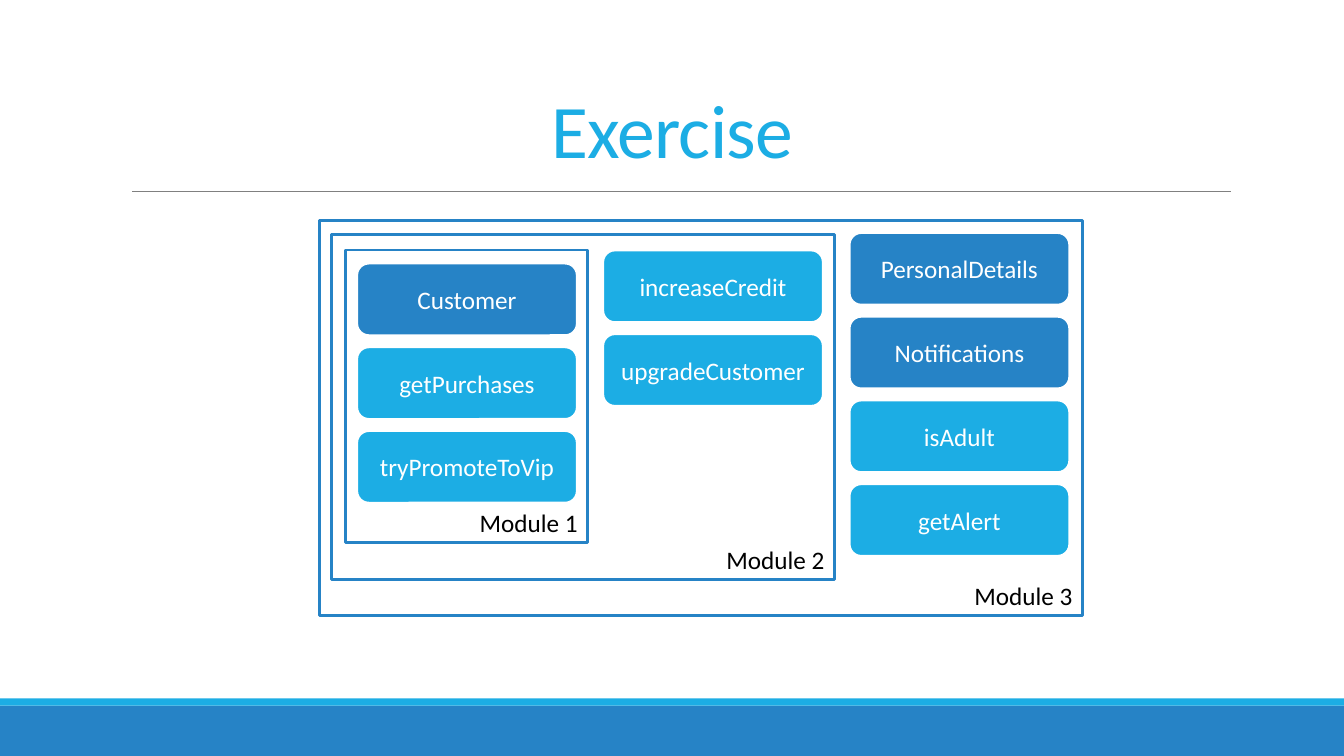
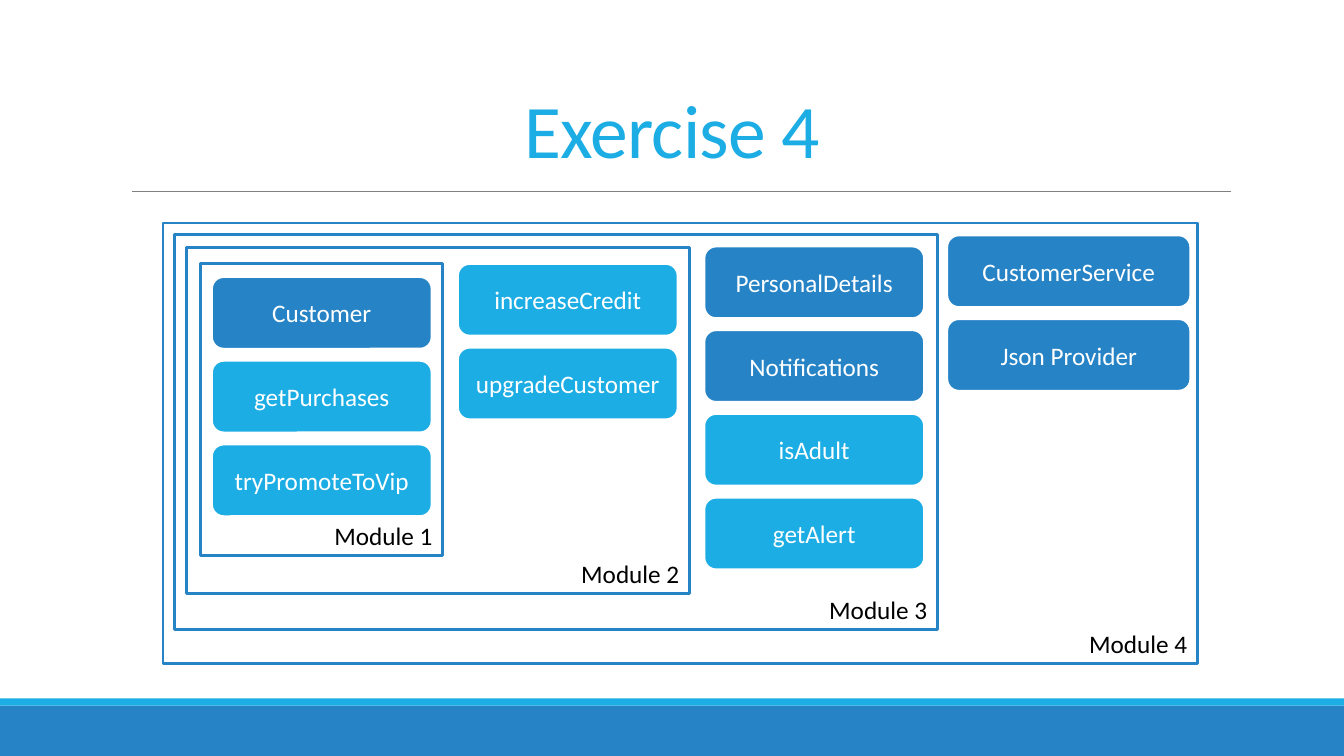
"""Builds two slides of nested modules for the exercises."""
from pptx import Presentation
from pptx import util as u
from pptx.dml.color import RGBColor
from pptx.enum import shapes, text
from pptx.oxml import ns, xmlchemy

COLORS = {"blue": "2683C6", "sky": "1CADE4", "gray": "808080",
          "white": "FFFFFF", "black": "000000"}
FONT = "Calibri"
PITCH = 2.11
BOX_WIDTH = 5.56
BOX_HEIGHT = 1.83

MODULES = [
    {"name": "Module 1", "frame": (0.66, 0.74, 6.1, 7.37),
     "start": (0.94, 1.07), "width": BOX_WIDTH,
     "members": [("Customer", "blue"), ("getPurchases", "sky"),
                 ("tryPromoteToVip", "sky")]},
    {"name": "Module 2", "frame": (0.31, 0.34, 12.67, 8.71),
     "start": (7.14, 0.74), "width": BOX_WIDTH,
     "members": [("increaseCredit", "sky"), ("upgradeCustomer", "sky")]},
    {"name": "Module 3", "frame": (0, 0, 19.23, 9.96),
     "start": (13.35, 0.3), "width": BOX_WIDTH,
     "members": [("PersonalDetails", "blue"), ("Notifications", "blue"),
                 ("isAdult", "sky"), ("getAlert", "sky")]},
    {"name": "Module 4", "frame": (-0.28, -0.28, 26.06, 11.1),
     "start": (19.47, 0.02), "width": 6.15,
     "members": [("CustomerService", "blue"), ("Json Provider", "blue")]},
]

EXERCISES = [("Exercise", (8.05, 5.56), 3), ("Exercise 4", (4.39, 5.9), 4)]


def rgb(color):
    return RGBColor.from_string(COLORS[color])


class Deck:
    def __init__(self):
        self.prs = Presentation()
        self.prs.slide_width = u.Cm(33.87)
        self.prs.slide_height = u.Cm(19.05)
        self.layout = self.prs.slide_layouts[5]
        heading = self.layout.placeholders[0]
        heading.left, heading.top = u.Cm(3.73), u.Cm(1.09)
        heading.width, heading.height = u.Cm(26.42), u.Cm(3.43)
        heading.text_frame.vertical_anchor = text.MSO_ANCHOR.BOTTOM
        self.slide = None

    def start(self, title):
        first = self.slide is None
        self.slide = self.prs.slides.add_slide(self.layout)
        if first:
            self.share_bands()
        heading = self.slide.shapes.title
        self.label(heading, title, "sky", 54, text.PP_ALIGN.CENTER)
        heading.text_frame.paragraphs[0].line_spacing = 0.85
        for props in heading.element.iter(ns.qn("a:rPr")):
            props.set("spc", "-50")

    def share_bands(self):
        rect = shapes.MSO_SHAPE.RECTANGLE
        shared = [self.shape(rect, (0, 17.78, 33.87, 1.27), "blue"),
                  self.shape(rect, (0, 17.6, 33.87, 0.18), "sky"),
                  self.rule(3.33, 4.83, 31.01, "gray")]
        tree = self.layout.shapes.element
        for index, part in enumerate(shared):
            part.element.xpath(".//p:cNvPr")[0].set("id", str(100 + index))
            tree.insert(2 + index, part.element)

    def rule(self, left, top, right, color):
        line = self.slide.shapes.add_connector(
            shapes.MSO_CONNECTOR.STRAIGHT,
            u.Cm(left), u.Cm(top), u.Cm(right), u.Cm(top))
        line.line.color.rgb = rgb(color)
        line.line.width = u.Pt(0.5)
        effects = xmlchemy.OxmlElement("a:effectLst")
        line.element.spPr.append(effects)
        return line

    def shape(self, preset, place, fill=None, outline=None):
        shape = self.slide.shapes.add_shape(preset, *map(u.Cm, place))
        shape.shadow.inherit = False
        if fill:
            shape.fill.solid()
            shape.fill.fore_color.rgb = rgb(fill)
        else:
            shape.fill.background()
        if outline:
            shape.line.color.rgb = rgb(outline)
            shape.line.width = u.Pt(2)
        else:
            shape.line.fill.background()
        return shape

    def label(self, shape, words, color, size, align):
        paragraph = shape.text_frame.paragraphs[0]
        paragraph.alignment = align
        run = paragraph.add_run()
        run.text = words
        run.font.name = FONT
        run.font.size = u.Pt(size)
        run.font.color.rgb = rgb(color)

    def member(self, name, color, place):
        box = self.shape(shapes.MSO_SHAPE.ROUNDED_RECTANGLE, place, color, "white")
        box.text_frame.vertical_anchor = text.MSO_ANCHOR.MIDDLE
        self.label(box, name, "white", 18, text.PP_ALIGN.CENTER)

    def module(self, module, origin):
        x, y = origin
        left, top, width, height = module["frame"]
        frame = self.shape(shapes.MSO_SHAPE.RECTANGLE,
                           (x + left, y + top, width, height), outline="blue")
        frame.text_frame.vertical_anchor = text.MSO_ANCHOR.BOTTOM
        self.label(frame, module["name"], "black", 18, text.PP_ALIGN.RIGHT)
        column, row = module["start"]
        for index, (name, color) in enumerate(module["members"]):
            self.member(name, color, (x + column, y + row + index * PITCH,
                                      module["width"], BOX_HEIGHT))


def main():
    deck = Deck()
    for title, origin, count in EXERCISES:
        deck.start(title)
        for module in MODULES[:count]:
            deck.module(module, origin)
    deck.prs.save("out.pptx")


if __name__ == "__main__":
    main()
